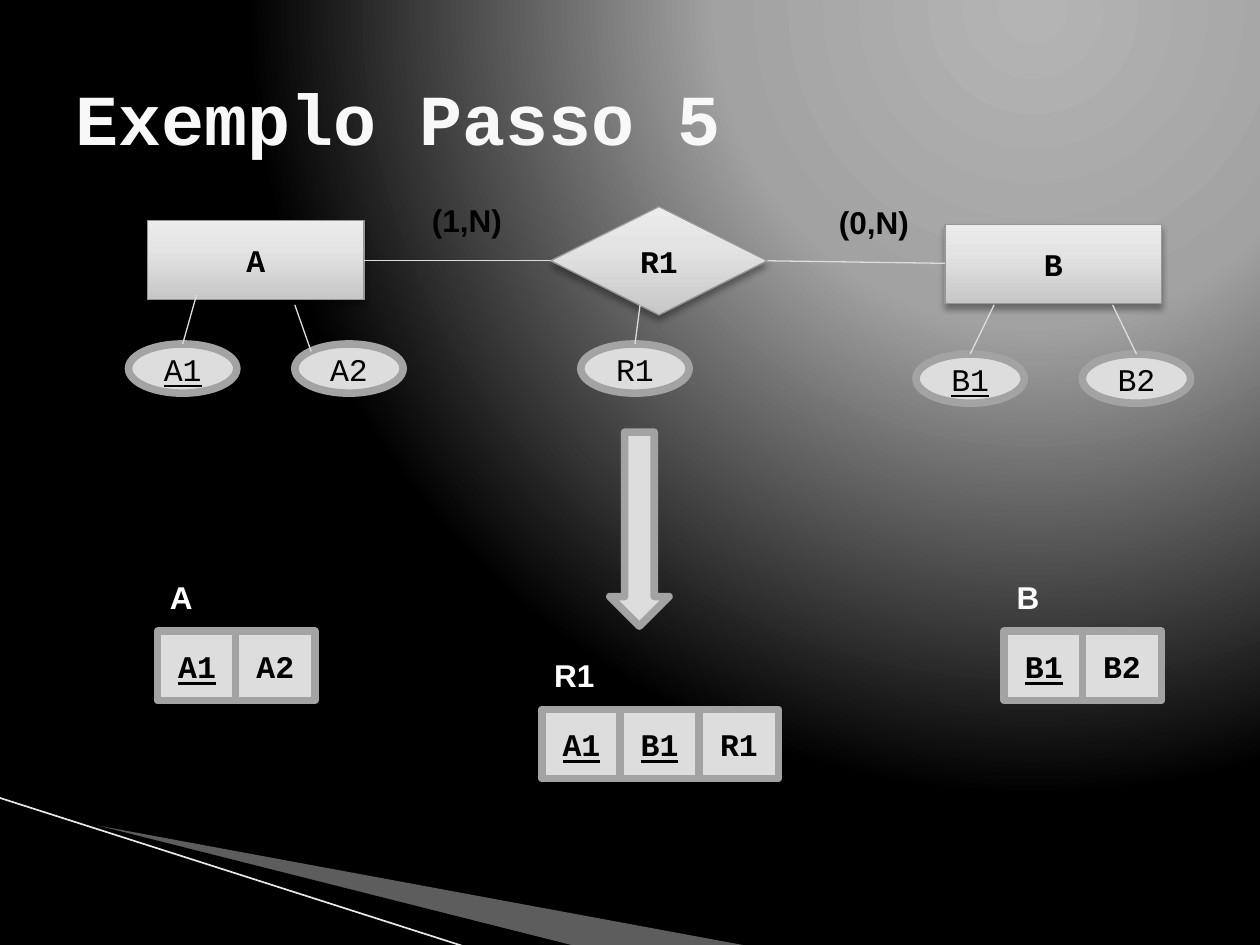
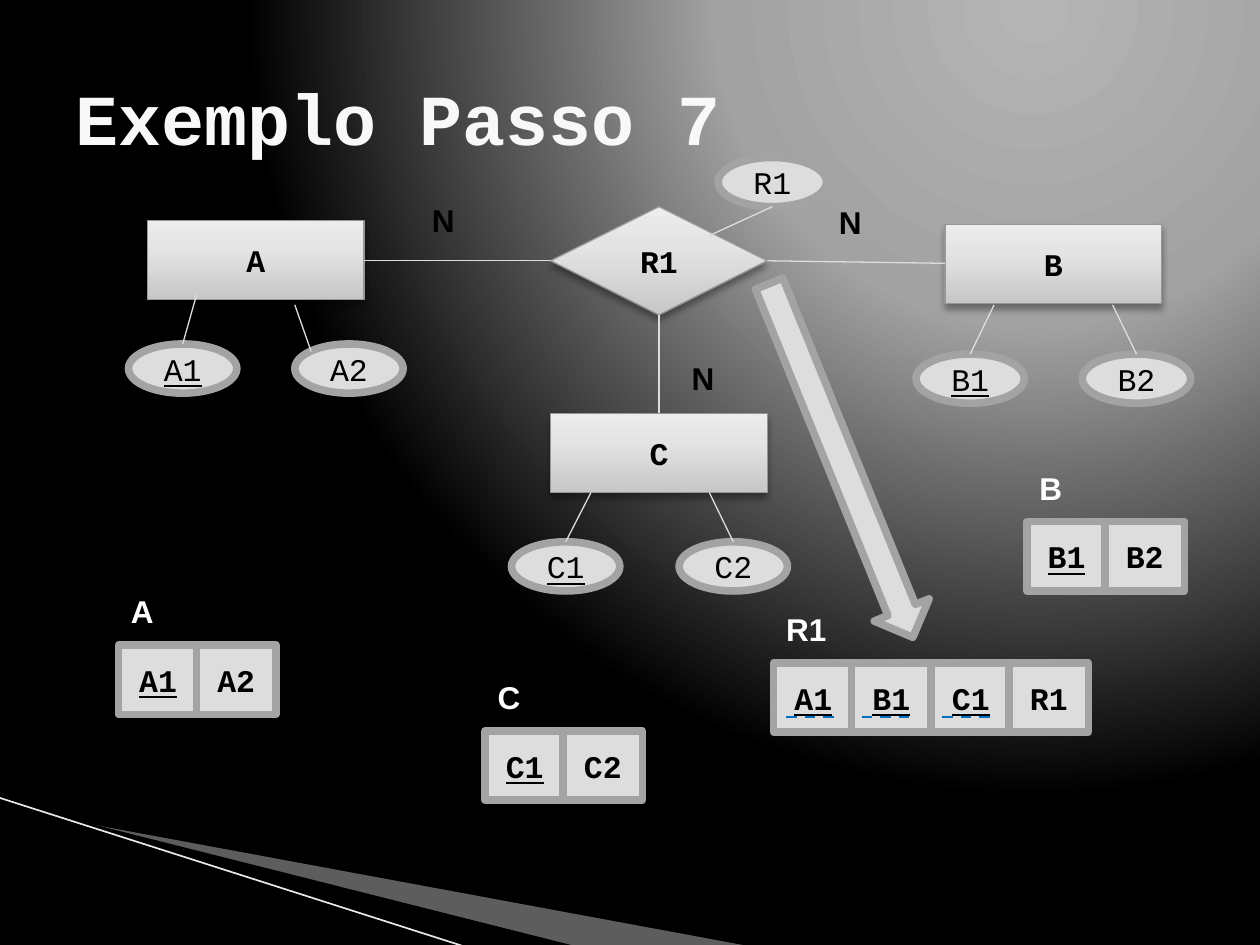
from dataclasses import dataclass

from lxml.etree import SubElement
from pptx import Presentation
from pptx.dml.color import RGBColor
from pptx.enum.dml import MSO_LINE
from pptx.enum.shapes import MSO_CONNECTOR, MSO_SHAPE as Kind
from pptx.enum.text import MSO_ANCHOR as Anchor, MSO_AUTO_SIZE as AutoSize, PP_ALIGN as Align
from pptx.oxml import parse_xml
from pptx.oxml.ns import nsdecls, qn
from pptx.util import Pt

PX = 9144  # 100 px to the inch


@dataclass(frozen=True)
class Theme:
    black: str = "000000"
    white: str = "FFFFFF"
    title: str = "F8F8F8"
    pale: str = "DDDDDD"
    frame: str = "A3A3A3"
    box_edge: str = "969696"
    wedge: str = "EAEAEA"
    stripe: str = "E8E8E8"
    dash: str = "0070C0"
    box_stops: tuple = ((0, "C7C7C7"), (65, "E4E4E4"), (100, "ECECEC"))
    background_stops: tuple = ((0, "B4B4B4"), (40, "A2A2A2"), (100, "000000"))
    mono: str = "Courier New"
    sans: str = "Arial"
    title_size: float = 41
    text_size: float = 18
    thin: float = 0.75
    thick: float = 4.33


theme = Theme()
rgb = RGBColor.from_string

# Gradients, kept as XML for their direction
gradients = {}
for name, stops, direction in (
    ("box", theme.box_stops, '<a:lin ang="16200000" scaled="0"/>'),
    ("background", theme.background_stops,
     '<a:path path="circle"><a:fillToRect l="65000" t="0" r="0" b="98000"/></a:path>'),
):
    marks = "".join(f'<a:gs pos="{position * 1000}"><a:srgbClr val="{color}"/></a:gs>'
                    for position, color in stops)
    gradients[name] = (f'<a:gradFill {nsdecls("a")} rotWithShape="1">'
                       f'<a:gsLst>{marks}</a:gsLst>{direction}</a:gradFill>')

# Text formats and shape looks
formats = {
    "title": {"name": theme.mono, "size": Pt(theme.title_size), "bold": True},
    "name": {"name": theme.mono, "size": Pt(theme.text_size), "bold": True},
    "attribute": {"name": theme.mono, "size": Pt(theme.text_size), "bold": False},
    "label": {"name": theme.sans, "size": Pt(theme.text_size), "bold": True},
}
key_attributes = {"A1", "B1", "C1"}
label_widths = {1: 38, 2: 52, 5: 76}


def add_item(slide, kind, box, text, style, color=theme.black, gradient=False):
    """Add a preset shape, or a text box when kind is None, with its text."""
    place = [value * PX for value in box]
    if kind is None:
        shape = slide.shapes.add_textbox(*place)
    else:
        shape = slide.shapes.add_shape(kind, *place)
        shape.shadow.inherit = False
        shape.fill.solid()
        shape.fill.fore_color.rgb = rgb(theme.pale)
        shape.line.color.rgb = rgb(theme.box_edge if gradient else theme.frame)
        shape.line.width = Pt(theme.thin if gradient else theme.thick)
    if gradient:
        properties = shape.fill._xPr
        properties.replace(properties.find(qn("a:solidFill")), parse_xml(gradients["box"]))
        shadow = SubElement(properties.find(qn("a:effectLst")), qn("a:outerShdw"),
                            blurRad="50800", dist="38100", dir="5400000", rotWithShape="0")
        shade = SubElement(shadow, qn("a:srgbClr"), val=theme.black)
        SubElement(shade, qn("a:alpha"), val="35000")
    if text:
        frame = shape.text_frame
        frame.word_wrap = style != "label"
        frame.auto_size = AutoSize.SHAPE_TO_FIT_TEXT if style == "label" else AutoSize.NONE
        frame.vertical_anchor = Anchor.TOP if style == "label" else Anchor.MIDDLE
        paragraph = frame.paragraphs[0]
        paragraph.alignment = Align.LEFT if kind is None else Align.CENTER
        run = paragraph.add_run()
        run.text = text
        for attribute, value in formats[style].items():
            setattr(run.font, attribute, value)
        run.font.underline = text in key_attributes
        run.font.color.rgb = rgb(color)
    return shape


def add_line(slide, ends, color=theme.pale, width=theme.thin):
    """Add a straight line from (x1, y1) to (x2, y2)."""
    line = slide.shapes.add_connector(MSO_CONNECTOR.STRAIGHT, *(value * PX for value in ends))
    line.line.color.rgb = rgb(color)
    line.line.width = Pt(width)
    SubElement(line._element.spPr, qn("a:effectLst"))
    return line


# Diagram parts that both slides show
shared_entities = [("A", 117, 175), ("B", 750, 178)]
shared_attributes = [("A1", 102, 273), ("A2", 234, 273), ("B1", 727, 281), ("B2", 859, 281)]
shared_lines = [
    (289, 207, 437, 207), (609, 207, 750, 209),
    (145, 273, 156, 234), (247, 279, 234, 242),
    (770, 281, 789, 242), (902, 281, 883, 242),
]

# What each slide adds: table = (name, left, top, columns)
steps = [
    {
        "title": "Exemplo Passo 5",
        "entities": [],
        "attributes": [("R1", 461, 273)],
        "lines": [(504, 273, 508, 242)],
        "labels": [("(1,N)", 333, 155), ("(0,N)", 656, 156)],
        "arrow": ((484, 343, 47, 154), 0),
        "tables": [("R1", 430, 563, ("A1", "B1", "R1")),
                   ("B", 797, 501, ("B1", "B2")),
                   ("A", 125, 501, ("A1", "A2"))],
        "dashes": [],
    },
    {
        "title": "Exemplo Passo 7",
        "entities": [("C", 437, 328)],
        "attributes": [("R1", 570, 125), ("C1", 406, 430), ("C2", 539, 430)],
        "lines": [(613, 164, 563, 187), (449, 430, 469, 391),
                  (582, 430, 563, 391), (523, 250, 523, 328)],
        "labels": [("N", 333, 155), ("N", 656, 156), ("N", 539, 280)],
        "arrow": ((644, 214, 47, 303), 337.9),
        "tables": [("R1", 614, 526, ("A1", "B1", "C1", "R1")),
                   ("B", 815, 414, ("B1", "B2")),
                   ("A", 94, 512, ("A1", "A2")),
                   ("C", 385, 580, ("C1", "C2"))],
        "dashes": [624, 684, 748],
    },
]

presentation = Presentation()
presentation.slide_width, presentation.slide_height = 1000 * PX, 750 * PX

for step in steps:
    slide = presentation.slides.add_slide(presentation.slide_layouts[6])

    # Background
    slide.background.fill.solid()
    properties = slide.background.fill._xPr
    properties.replace(properties.find(qn("a:solidFill")), parse_xml(gradients["background"]))

    # Wedges and stripe in the lower corner
    for color, opacity, points in (
        (theme.wedge, 40, [(55, 651), (595, 751), (456, 751), (55, 650)]),
        (theme.black, 100, [(53, 649), (457, 751), (372, 752), (54, 650)]),
    ):
        builder = slide.shapes.build_freeform(*points[0], scale=PX)
        builder.add_line_segments(points[1:], close=True)
        wedge = builder.convert_to_shape()
        wedge.shadow.inherit = False
        wedge.fill.solid()
        wedge.fill.fore_color.rgb = rgb(color)
        wedge.line.fill.background()
        SubElement(wedge.fill._xPr.find(qn("a:solidFill"))[0], qn("a:alpha"),
                   val=str(opacity * 1000))
    add_line(slide, (-1, 633, 371, 752), theme.stripe, 0.95)

    # Title
    add_item(slide, None, (50, 30, 900, 125), step["title"], "title", theme.title)

    # Entities and relationship
    for name, left, top in shared_entities + step["entities"]:
        add_item(slide, Kind.RECTANGLE, (left, top, 172, 63), name, "name", gradient=True)
    add_item(slide, Kind.DIAMOND, (437, 164, 172, 86), "R1", "name", gradient=True)

    # Attributes, links and cardinalities
    for name, left, top in shared_attributes + step["attributes"]:
        add_item(slide, Kind.OVAL, (left, top, 86, 39), name, "attribute")
    for ends in shared_lines + step["lines"]:
        add_line(slide, ends)
    for text, left, top in step["labels"]:
        add_item(slide, None, (left, top, label_widths[len(text)], 40), text, "label")

    # Arrow to the resulting table
    box, angle = step["arrow"]
    add_item(slide, Kind.DOWN_ARROW, box, "", "name").rotation = angle

    # Resulting tables, drawn as rows of cells
    for name, left, top, columns in step["tables"]:
        add_item(slide, None, (left, top - 47, label_widths[len(name)], 40),
                 name, "label", theme.white)
        for index, column in enumerate(columns):
            cell_left = left + index * 125 // 2
            add_item(slide, Kind.RECTANGLE, (cell_left, top, 63, 55), column, "name")

    # Dashed marks under the foreign keys
    for left in step["dashes"]:
        dash = add_line(slide, (left, 569, left + 43, 569), theme.dash, 1.5)
        dash.line.dash_style = MSO_LINE.DASH

presentation.save("out.pptx")
